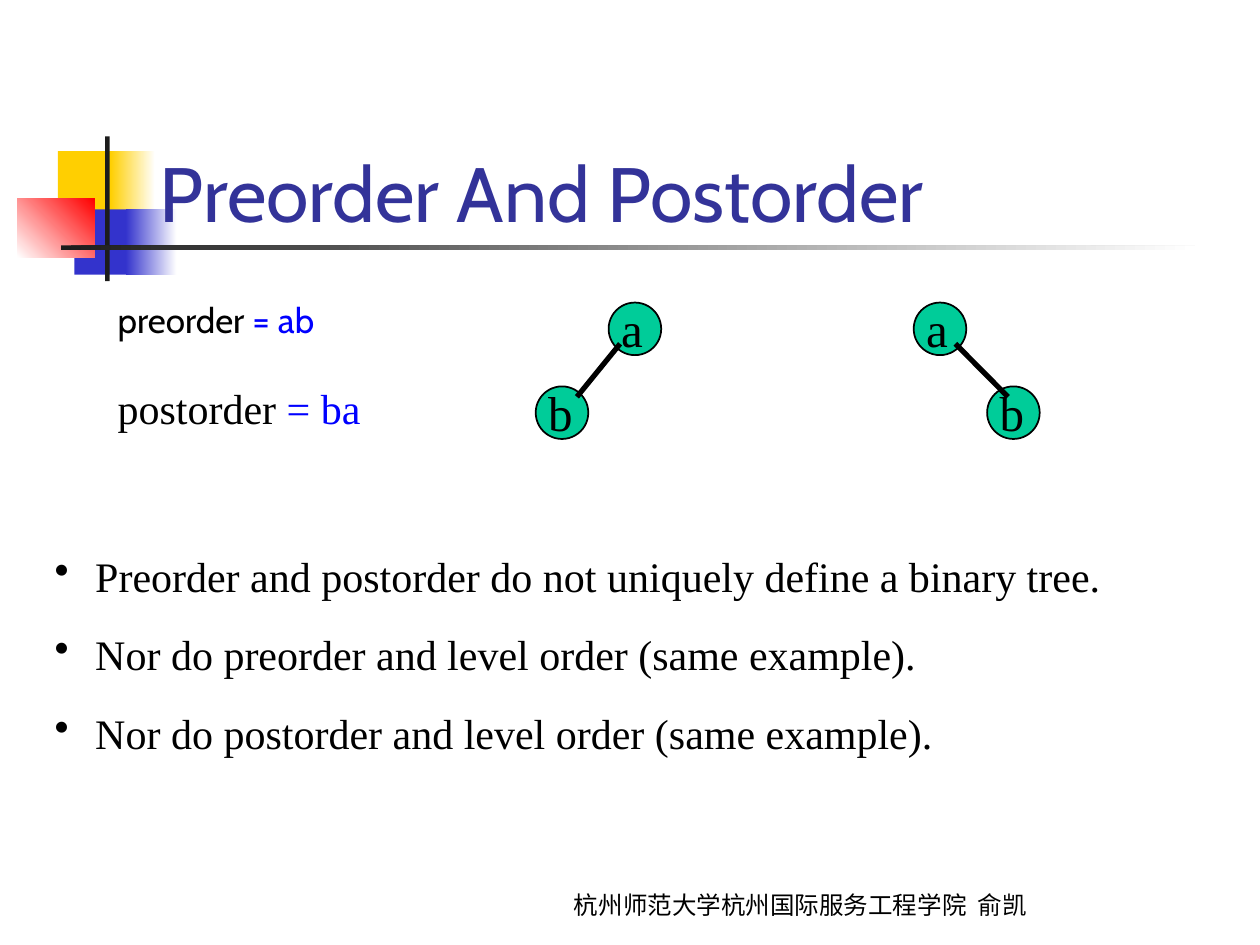
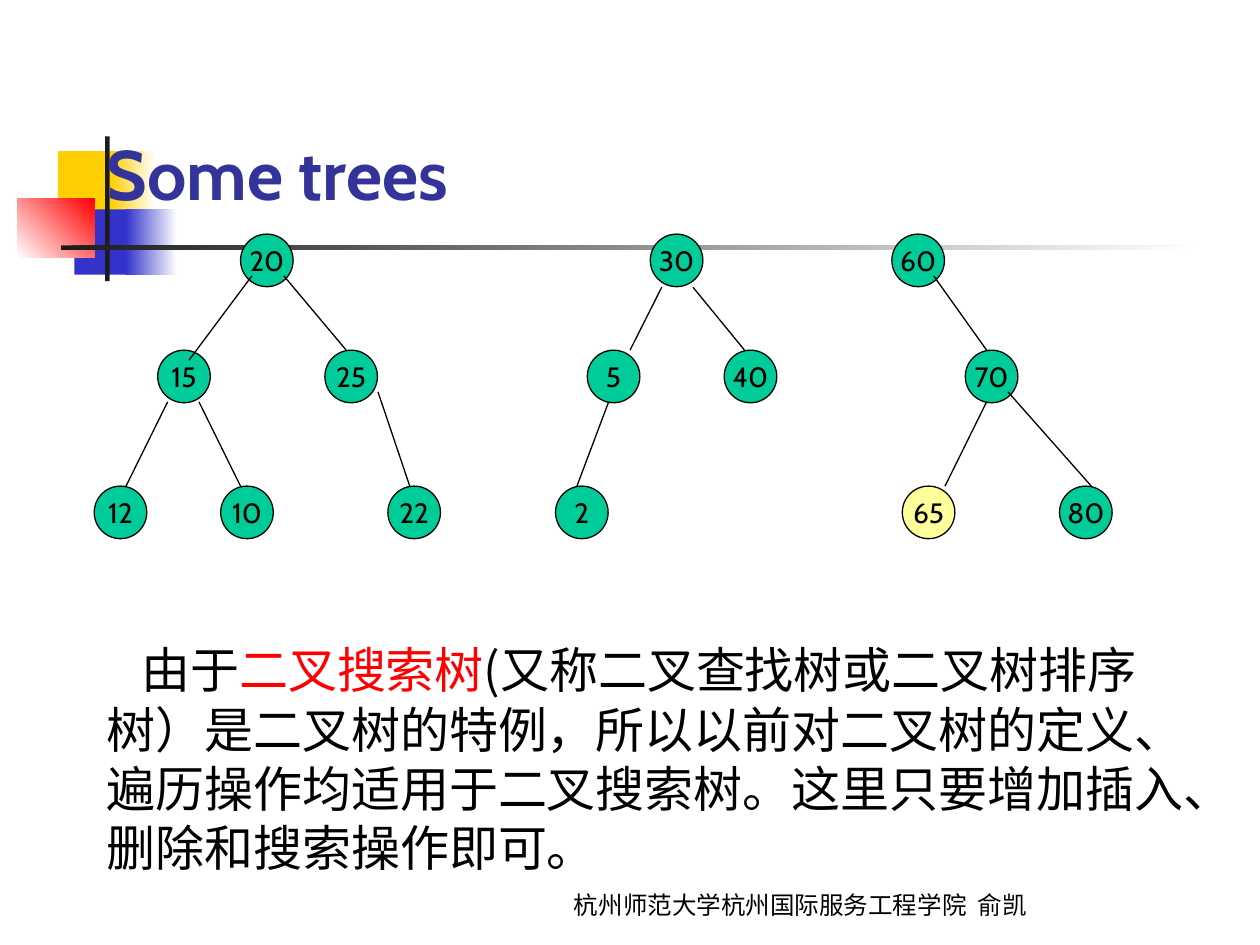
from lxml import etree
from pptx import Presentation
from pptx.dml.color import RGBColor
from pptx.enum.shapes import MSO_CONNECTOR, MSO_SHAPE
from pptx.enum.text import MSO_ANCHOR, MSO_AUTO_SIZE, PP_ALIGN
from pptx.oxml.ns import qn
from pptx.util import Cm, Pt

LEFT, CENTER = PP_ALIGN.LEFT, PP_ALIGN.CENTER
TOP, MIDDLE, BOTTOM = MSO_ANCHOR.TOP, MSO_ANCHOR.MIDDLE, MSO_ANCHOR.BOTTOM
RECT, ROUND, OVAL = MSO_SHAPE.RECTANGLE, MSO_SHAPE.ROUNDED_RECTANGLE, MSO_SHAPE.OVAL
STRAIGHT = MSO_CONNECTOR.STRAIGHT

SANS, SERIF, CJK = "Cabin", "Times New Roman", "Noto Sans CJK SC"
BLACK, WHITE, INK, NAVY = "000000", "FFFFFF", "1C1C1C", "333399"
YELLOW, BLUE, RED = "FFCF01", "3333CC", "FF0000"
GREEN, PALE, LINK = "00CC99", "FFFF99", "0000FF"
NODE = 1.06  # diameter of a tree node, cm


def write(tf, *paragraphs, font=SANS, size=16, color=BLACK, bold=False, align=LEFT,
          anchor=TOP, wrap=True, before=0, line=None, indent=0, bullet=None):
    """Each paragraph is a string or a list of (text, colour) runs."""
    tf.word_wrap = wrap
    tf.auto_size = MSO_AUTO_SIZE.NONE
    tf.vertical_anchor = anchor
    for i, content in enumerate(paragraphs):
        p = tf.add_paragraph() if i else tf.paragraphs[0]
        p.alignment = align
        p.space_before = Pt(before if i else 0)
        if line:
            p.line_spacing = line
        pPr = p._p.get_or_add_pPr()
        pPr.set("marL", str(Cm(max(-indent, 0))))
        pPr.set("indent", str(Cm(indent)))
        if bullet:
            etree.SubElement(pPr, qn("a:buChar")).set("char", bullet)
        runs = [(content, color)] if isinstance(content, str) else content
        for text, run_color in runs:
            r = p.add_run()
            r.text = text
            r.font.name, r.font.size, r.font.bold = font, Pt(size), bold
            r.font.color.rgb = RGBColor.from_string(run_color)
            etree.SubElement(r._r.get_or_add_rPr(), qn("a:ea")).set("typeface", font)


def draw(slide, kind, x, y, w, h, *colors, angle=0, outline=0):
    """Preset shape in cm; two colours make a gradient, outline is in points."""
    sp = slide.shapes.add_shape(kind, Cm(x), Cm(y), Cm(w), Cm(h))
    sp.shadow.inherit = False
    if len(colors) == 1:
        sp.fill.solid()
        sp.fill.fore_color.rgb = RGBColor.from_string(colors[0])
    else:
        sp.fill.gradient()
        sp.fill.gradient_angle = angle
        for stop, color in zip(sp.fill.gradient_stops, colors):
            stop.color.rgb = RGBColor.from_string(color)
    if outline:
        sp.line.color.rgb = RGBColor.from_string(BLACK)
        sp.line.width = Pt(outline)
    else:
        sp.line.fill.background()
    return sp


prs = Presentation()
prs.slide_width, prs.slide_height = Cm(25.4), Cm(19.05)

# Shared decoration, footer and title
titles = [
    ("Preorder And Postorder", (2.97, 3.02, 21.59, 1.9), 44, False),
    ("Some trees", (1.9, 1.27, 21.59, 3.18), 40, True),
]
for text, box, size, bold in titles:
    slide = prs.slides.add_slide(prs.slide_layouts[5])
    draw(slide, RECT, 1.17, 3.05, 1.21, 1.32, YELLOW)
    draw(slide, RECT, 2.23, 3.05, 0.9, 1.32, YELLOW, WHITE)
    draw(slide, RECT, 1.5, 4.22, 1.17, 1.32, BLUE)
    draw(slide, RECT, 2.54, 4.22, 1.02, 1.32, BLUE, WHITE)
    draw(slide, RECT, 0.35, 4.01, 1.56, 1.18, WHITE, RED, angle=45)
    draw(slide, RECT, 2.12, 2.75, 0.09, 2.92, INK)
    bar = draw(slide, ROUND, 1.23, 4.95, 22.86, 0.09, INK, WHITE)
    bar.adjustments[0] = 0.05
    footer = slide.shapes.add_textbox(Cm(10.31), Cm(17.83), Cm(11.66), Cm(0.84))
    write(footer.text_frame, "杭州师范大学杭州国际服务工程学院  俞凯", size=14,
          align=CENTER, anchor=BOTTOM, line=0.96)
    title = slide.shapes.title
    title.left, title.top, title.width, title.height = map(Cm, box)
    write(title.text_frame, text, size=size, color=NAVY, bold=bold, anchor=BOTTOM)
    slide.shapes._spTree.append(title._element)  # in front of the decoration

orders, trees = prs.slides

# Slide 1: two trees with the same preorder and postorder
for letter, x, y in [("b", 10.8, 7.79), ("a", 12.27, 6.1),
                     ("b", 19.9, 7.79), ("a", 18.42, 6.1)]:
    draw(orders, OVAL, x, y, NODE, NODE, GREEN, outline=1)
    label = orders.shapes.add_textbox(Cm(x), Cm(y - 0.21), Cm(2.12), Cm(1.45))
    write(label.text_frame, letter, font=SERIF, size=28)

for name, value, y, w, font, size in [("preorder ", "= ab", 5.89, 7.42, SANS, 20),
                                      ("postorder ", "= ba", 7.58, 7.62, SERIF, 24)]:
    sp = orders.shapes.add_textbox(Cm(2.12), Cm(y), Cm(w), Cm(1.7))
    write(sp.text_frame, [(name, BLACK), (value, LINK)], font=font, size=size)

sp = orders.shapes.add_textbox(Cm(0.85), Cm(10.97), Cm(23.7), Cm(4.37))
write(sp.text_frame,
      "Preorder and postorder do not uniquely define a binary tree.",
      "Nor do preorder and level order (same example).",
      "Nor do postorder and level order (same example).",
      font=SERIF, size=24, before=16, indent=-0.82, bullet="•")

# Slide 2: three trees, one row of nodes per level
levels = [
    (4.72, [("20", 4.85), ("30", 13.11), ("60", 17.98)]),
    (7.06, [("15", 3.18), ("25", 6.55), ("5", 11.84), ("40", 14.6), ("70", 19.46)]),
    (9.8, [("12", 1.9), ("10", 4.45), ("22", 7.82), ("2", 11.2), ("65", 18.19),
           ("80", 21.36)]),
]
for y, nodes in levels:
    for key, x in nodes:
        fill = PALE if key == "65" else GREEN
        sp = draw(trees, OVAL, x, y, NODE, NODE, fill, outline=0.75)
        write(sp.text_frame, key, align=CENTER, anchor=MIDDLE, wrap=False)

sp = trees.shapes.add_textbox(Cm(1.9), Cm(12.77), Cm(22.23), Cm(5))
write(sp.text_frame,
      [("由于", BLACK), ("二叉搜索树", RED),
       ("(又称二叉查找树或二叉树排序树）是二叉树的特例，所以以前对二叉树的定义、"
        "遍历操作均适用于二叉搜索树。这里只要增加插入、删除和搜索操作即可。", BLACK)],
      font=CJK, size=28, line=Pt(33.8), indent=0.7)

# Edges of all trees: x1, y1, x2, y2
edges = [
    (orders, 3, [(12.5, 6.93, 11.63, 8), (19.26, 6.93, 20.32, 8)]),
    (trees, 0.75, [
        (5.08, 5.56, 3.81, 7.26), (5.72, 5.56, 6.98, 7.06),
        (3.38, 8.1, 2.54, 9.8), (4.01, 8.1, 4.85, 9.8), (7.62, 7.9, 8.26, 9.8),
        (13.34, 5.79, 12.7, 7.06), (13.97, 5.79, 15.01, 7.06),
        (12.27, 8.1, 11.63, 9.8),
        (18.82, 5.56, 19.89, 7.06), (19.89, 8.1, 19.05, 9.8), (20.32, 7.9, 22, 9.8),
    ]),
]
for slide, weight, lines in edges:
    for ends in lines:
        edge = slide.shapes.add_connector(STRAIGHT, *map(Cm, ends))
        edge.line.color.rgb = RGBColor.from_string(BLACK)
        edge.line.width = Pt(weight)
        etree.SubElement(edge._element.spPr, qn("a:effectLst"))

prs.save("out.pptx")
